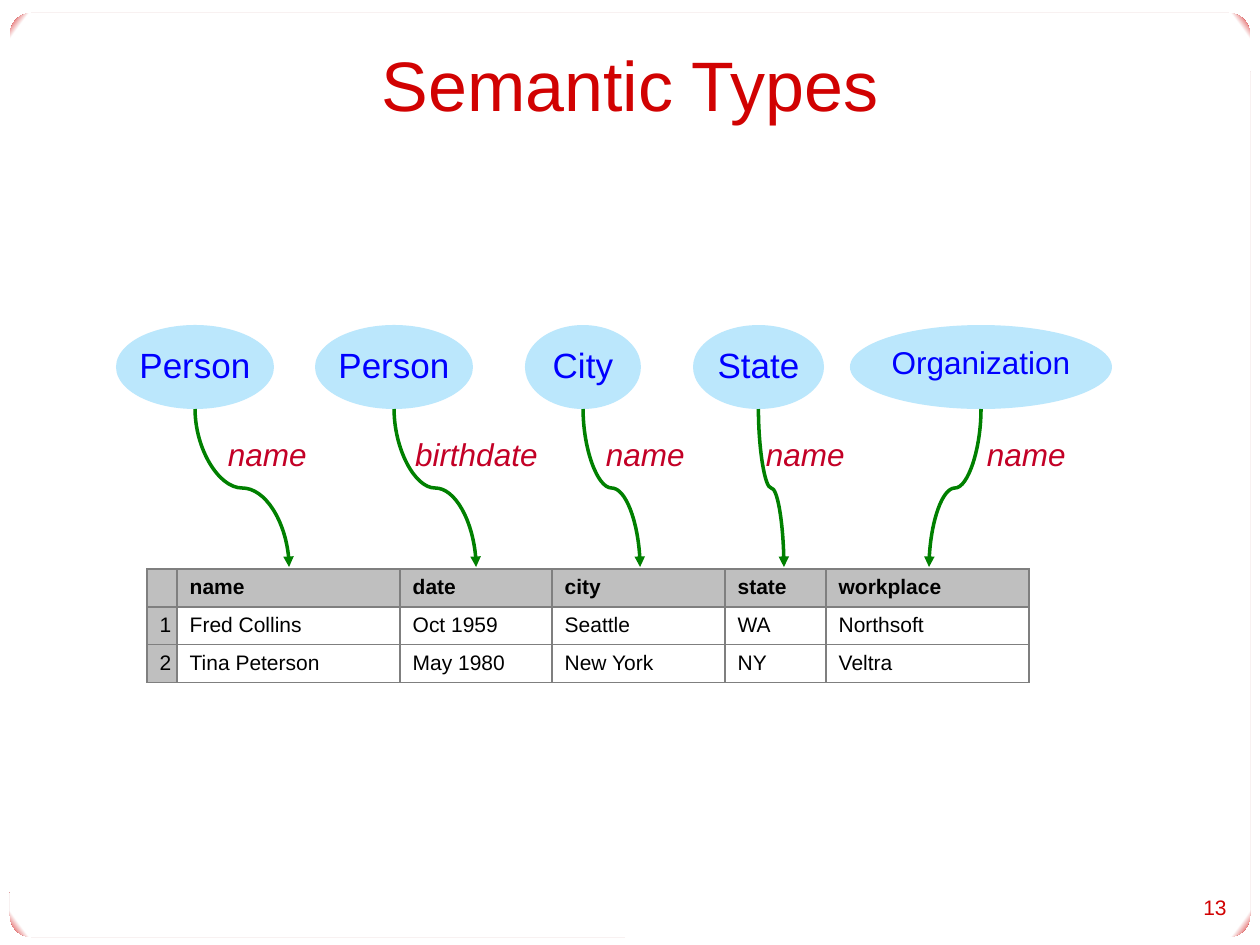
from lxml import etree
from pptx import Presentation
from pptx.dml.color import RGBColor
from pptx.enum.shapes import MSO_CONNECTOR, MSO_SHAPE
from pptx.enum.text import MSO_ANCHOR, PP_ALIGN
from pptx.oxml import parse_xml
from pptx.oxml.ns import nsdecls, qn
from pptx.util import Pt

CURVE = MSO_CONNECTOR.CURVE
OVAL, ROUNDED = MSO_SHAPE.OVAL, MSO_SHAPE.ROUNDED_RECTANGLE
TOP, MIDDLE = MSO_ANCHOR.TOP, MSO_ANCHOR.MIDDLE
LEFT, CENTER, RIGHT = PP_ALIGN.LEFT, PP_ALIGN.CENTER, PP_ALIGN.RIGHT
EMU_PER_PX = 914400 / 126
RED, PALE_BLUE, BLUE = "D10202", "BBE7FC", "0000FF"
GREEN, CRIMSON, GRAY, BORDER = "008000", "C30026", "BFBFBF", "7F7F7F"
rgb = RGBColor.from_string


def px(length):
    return round(length * EMU_PER_PX)


def write(frame, text, size, color, align=LEFT, anchor=TOP, margins=None, **extra):
    frame.word_wrap = True
    frame.vertical_anchor = anchor
    for name, value in (margins or {}).items():
        setattr(frame, "margin_" + name, px(value))
    para = frame.paragraphs[0]
    para.alignment = align
    span = para.add_run()
    span.text = text
    span.font.color.rgb = rgb(color)
    for name, value in {"name": "Arial", "size": Pt(size), **extra}.items():
        setattr(span.font, name, value)


deck = Presentation()
deck.slide_width, deck.slide_height = px(1260), px(945)
page = deck.slides.add_slide(deck.slide_layouts[6])
shapes = page.shapes

frame = shapes.add_shape(ROUNDED, px(10), px(13), px(1240), px(924))
frame.adjustments[0] = 0.023
frame.shadow.inherit = False
frame.line.fill.background()
frame.fill.background()
stops = "".join(
    f'<a:gs pos="{place}"><a:srgbClr val="{color}"/></a:gs>'
    for place, color in ((0, "FFFFFF"), (98000, "FFFFFF"), (100000, RED))
)
gradient = parse_xml(
    f'<a:gradFill {nsdecls("a")} rotWithShape="1"><a:gsLst>{stops}</a:gsLst>'
    '<a:path path="circle"><a:fillToRect l="50000" t="50000" r="50000" b="50000"/>'
    "</a:path></a:gradFill>"
)
properties = frame._element.spPr
properties.replace(properties.find(qn("a:noFill")), gradient)

title = shapes.add_textbox(px(63), px(21), px(1134), px(126))
write(title.text_frame, "Semantic Types", 40, RED, CENTER, MIDDLE)

OVAL_TOP, OVAL_HEIGHT, ARROW_END = 325, 84, 567
arrow_start = OVAL_TOP + OVAL_HEIGHT
semantic_types = [
    ("Person", 20, 116, 158, 289, "name", 228, 87),
    ("Person", 20, 315, 158, 476, "birthdate", 415, 131),
    ("City", 20, 525, 116, 640, "name", 606, 87),
    ("State", 20, 693, 131, 784, "name", 766, 87),
    ("Organization", 18, 850, 262, 929, "name", 987, 87),
]
for kind, size, left, width, target, label, label_left, label_width in semantic_types:
    oval = shapes.add_shape(OVAL, px(left), px(OVAL_TOP), px(width), px(OVAL_HEIGHT))
    oval.shadow.inherit = False
    oval.fill.solid()
    oval.fill.fore_color.rgb = rgb(PALE_BLUE)
    oval.line.fill.background()
    write(oval.text_frame, kind, size, BLUE, CENTER, margins={"left": 0, "right": 0})

    source = left + width / 2
    middle_x, middle_y = (source + target) / 2, (arrow_start + ARROW_END) / 2
    half_run, half_rise = (ARROW_END - arrow_start) / 2, abs(target - source) / 2
    side = 1 if target > source else -1
    arrow = shapes.add_connector(
        CURVE,
        px(middle_x + side * half_run), px(middle_y - half_rise),
        px(middle_x - side * half_run), px(middle_y + half_rise),
    )
    arrow.line.color.rgb = rgb(GREEN)
    arrow.line.width = Pt(2)
    properties = arrow._element.spPr
    properties.find(qn("a:xfrm")).set("rot", "16200000" if side > 0 else "5400000")
    etree.SubElement(properties.find(qn("a:ln")), qn("a:tailEnd"), type="triangle")
    etree.SubElement(properties, qn("a:effectLst"))

    box = shapes.add_textbox(px(label_left), px(435), px(label_width), px(38))
    no_margins = dict.fromkeys(("left", "top", "right", "bottom"), 0)
    write(box.text_frame, label, 18, CRIMSON, margins=no_margins, italic=True)

number = shapes.add_textbox(px(1166), px(887), px(73), px(40))
write(number.text_frame, "13", 12, RED, RIGHT, MIDDLE)

records = [
    ["", "name", "date", "city", "state", "workplace"],
    ["1", "Fred Collins", "Oct 1959", "Seattle", "WA", "Northsoft"],
    ["2", "Tina Peterson", "May 1980", "New York", "NY", "Veltra"],
]
widths = [30, 223, 152, 173, 101, 203]
ROW_HEIGHT = 36
table = shapes.add_table(
    len(records), len(widths), px(147), px(569),
    px(sum(widths)), px(ROW_HEIGHT * len(records)),
).table
table.first_row = table.horz_banding = False
for column, width in zip(table.columns, widths):
    column.width = px(width)
for row, record in enumerate(records):
    table.rows[row].height = px(ROW_HEIGHT)
    for column, text in enumerate(record):
        cell = table.cell(row, column)
        if text:
            write(cell.text_frame, text, 12, "000000", bold=row == 0)
        else:
            cell.text_frame.paragraphs[0]._p.get_or_add_endParaRPr().set("sz", "1200")
        properties = cell._tc.get_or_add_tcPr()
        for edge in ("lnL", "lnR", "lnT", "lnB"):
            properties.append(parse_xml(
                f'<a:{edge} {nsdecls("a")} w="12700"><a:solidFill>'
                f'<a:srgbClr val="{BORDER}"/></a:solidFill></a:{edge}>'
            ))
        if row == 0 or column == 0:
            cell.fill.solid()
            cell.fill.fore_color.rgb = rgb(GRAY)
        else:
            cell.fill.background()

deck.save("out.pptx")
